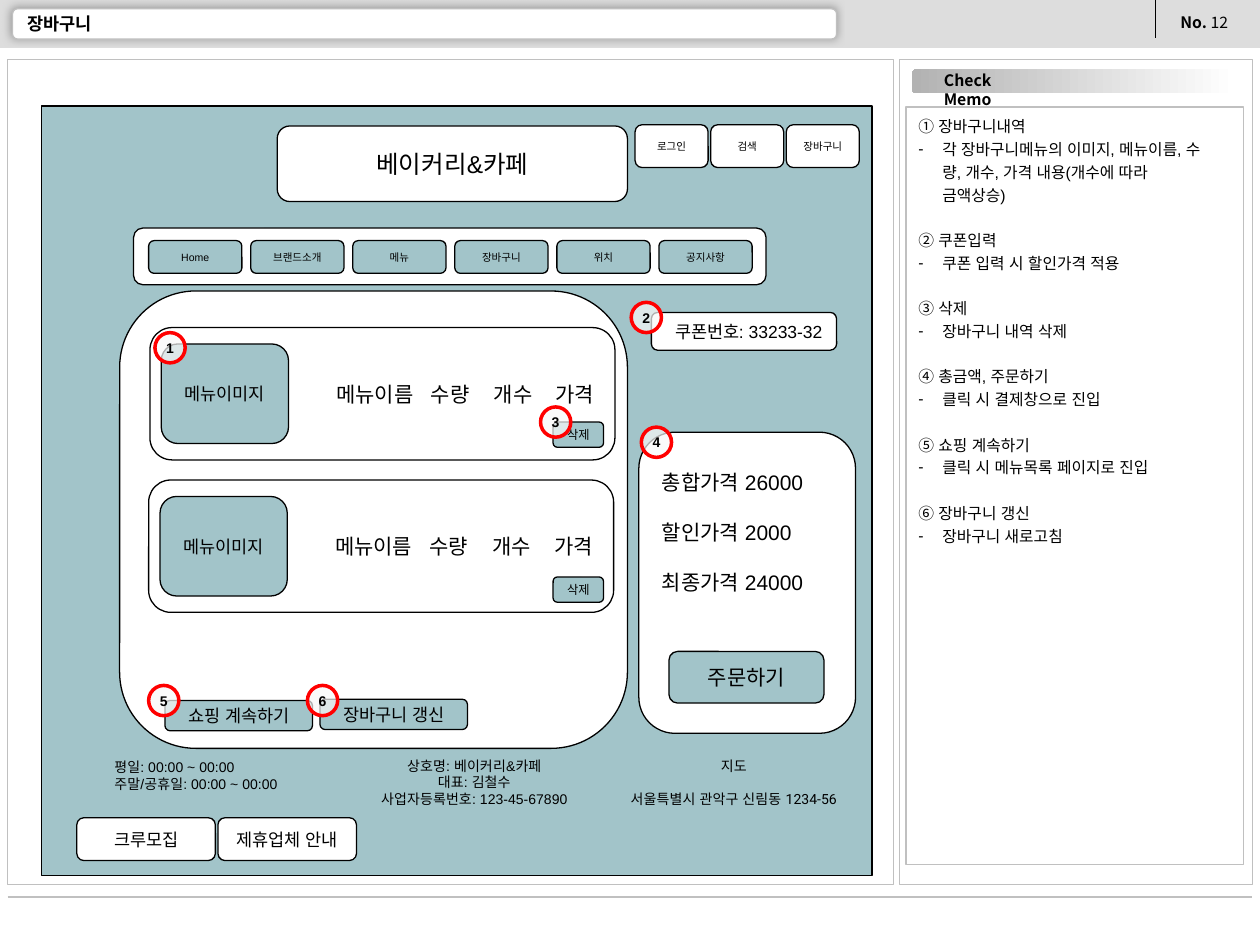
from typing import NamedTuple

from lxml.etree import SubElement
from pptx import Presentation
from pptx.dml.color import RGBColor
from pptx.enum.shapes import MSO_CONNECTOR, MSO_SHAPE
from pptx.enum.text import MSO_ANCHOR, PP_ALIGN
from pptx.oxml.ns import qn
from pptx.util import Inches, Pt

HUE = {"white": "FFFFFF", "black": "000000", "teal": "A2C4C9", "band": "DDDDDD",
       "rule": "C0C0C0", "gray": "B2B2B2", "shade": "989898", "red": "FF0000",
       "pale": "F8F8F8"}
ALIGN = {"l": PP_ALIGN.LEFT, "c": PP_ALIGN.CENTER, "r": PP_ALIGN.RIGHT}
ROUND, RECT, OVAL = MSO_SHAPE.ROUNDED_RECTANGLE, MSO_SHAPE.RECTANGLE, MSO_SHAPE.OVAL
NOTO = "Noto Sans CJK KR"


class Button(NamedTuple):
    text: str
    x: float
    y: float
    w: float
    h: float
    size: float
    fill: str = "teal"
    align: str = "c"


class Mark(NamedTuple):
    num: int
    x: float
    y: float


class Note(NamedTuple):
    head: str
    body: str


deck = Presentation()
deck.slide_width, deck.slide_height = Inches(10), Inches(7.5)
slide = deck.slides.add_slide(deck.slide_layouts[6])


def color(name: str) -> RGBColor:
    return RGBColor.from_string(HUE[name])


def add_run(para, text: str, size: float, font: str, bold: bool = False) -> None:
    run = para.add_run()
    run.text = text
    run.font.size, run.font.name, run.font.bold = Pt(size), font, bold
    run.font.color.rgb = color("black")
    SubElement(run._r.get_or_add_rPr(), qn("a:ea"), typeface=font)


def write(frame, text: str, size: float = 8, font: str = "Arial", bold: bool = False,
          align: str = "c", middle: bool = True, pad: tuple = (0.1, 0.1),
          gap: float = 0) -> None:
    """Fill a frame: \\n parts paragraphs, gap points apart; \\v breaks a line."""
    frame.word_wrap = True
    frame.vertical_anchor = MSO_ANCHOR.MIDDLE if middle else MSO_ANCHOR.TOP
    frame.margin_left = frame.margin_right = Inches(pad[0])
    frame.margin_top = frame.margin_bottom = Inches(pad[1])
    for i, line in enumerate(text.split("\n")):
        para = frame.add_paragraph() if i else frame.paragraphs[0]
        para.alignment = ALIGN[align]
        if i and gap:
            para.space_before = Pt(gap)
        for j, part in enumerate(line.split("\v")):
            if j:
                para.add_line_break()
            add_run(para, part, size, font, bold)


def shape(kind, x: float, y: float, w: float, h: float, fill: str = "white",
          line: str = "black", width: float = 0.75):
    item = slide.shapes.add_shape(kind, Inches(x), Inches(y), Inches(w), Inches(h))
    item.shadow.inherit = False
    item.fill.solid()
    item.fill.fore_color.rgb = color(fill)
    if line:
        item.line.color.rgb = color(line)
        item.line.width = Pt(width)
    else:
        item.line.fill.background()
    return item


def label(x: float, y: float, w: float, h: float, text: str, **style):
    box = slide.shapes.add_textbox(Inches(x), Inches(y), Inches(w), Inches(h))
    write(box.text_frame, text, **{"middle": False, "pad": (0.1, 0.05), **style})
    return box.text_frame


def rule(x: float, y: float, x2: float, y2: float, hue: str, width: float) -> None:
    line = slide.shapes.add_connector(MSO_CONNECTOR.STRAIGHT, Inches(x), Inches(y),
                                      Inches(x2), Inches(y2))
    line.line.color.rgb = color(hue)
    line.line.width = Pt(width)
    SubElement(line._element.spPr, qn("a:effectLst"))


def button(b: Button) -> None:
    item = shape(ROUND, b.x, b.y, b.w, b.h, b.fill)
    write(item.text_frame, b.text, size=b.size, align=b.align)


def item_row(x: float, y: float) -> None:
    """One cart row: the menu image and four columns of text."""
    shape(ROUND, x, y, 3.69, 1.05)
    for text, dx in (("메뉴이름", 1.48), ("수량", 2.23), ("개수", 2.73), ("가격", 3.22)):
        label(x + dx, y + 0.38, 0.7, 0.29, text, size=12, align="l", middle=True,
              pad=(0, 0))
    button(Button("메뉴이미지", x + 0.09, y + 0.13, 1.01, 0.79, 10))


def mark(m: Mark) -> None:
    ring = shape(OVAL, m.x, m.y, 0.24, 0.24, "pale", "red", 2)
    tint = ring._element.spPr.find(qn("a:solidFill"))[0]
    SubElement(tint, qn("a:alpha"), val="70000")
    write(ring.text_frame, str(m.num), bold=True, pad=(0.04, 0.05))


def memo(frame, notes: list) -> None:
    text = "\n".join(f"{n.head}\n{n.body}" for n in notes)
    write(frame, text, size=9, align="l", middle=False, pad=(0.1, 0.05))
    for i, para in enumerate(frame.paragraphs):
        para.line_spacing = 1.2
        if i % 2:
            props = para._p.get_or_add_pPr()
            props.set("marL", str(Inches(0.19)))
            props.set("indent", str(-Inches(0.19)))
            SubElement(props, qn("a:buFont"), typeface="Arial")
            SubElement(props, qn("a:buChar"), char="-")
        elif i:
            para.space_before = Pt(13)


# Header and frames
shape(RECT, 0, 0, 10, 0.38, "band", "")
rule(9.17, 0, 9.17, 0.3, "black", 0.75)
page = label(9.27, 0.05, 0.7, 0.25, "No. ", size=9, font=NOTO, bold=True, align="l")
add_run(page.paragraphs[0], "12", 9, NOTO)
bar = shape(ROUND, 0.1, 0.07, 6.54, 0.24, line="rule")
glow = SubElement(bar._element.spPr.find(qn("a:effectLst")), qn("a:outerShdw"),
                  blurRad=str(Pt(5)), dist=str(Pt(1.4)), dir="13500000")
SubElement(glow, qn("a:srgbClr"), val=HUE["shade"])
label(0.12, 0.1, 5.42, 0.18, "장바구니", size=10, bold=True, align="l", middle=True)
rule(0.06, 7.12, 9.94, 7.12, "rule", 1.5)
shape(RECT, 7.14, 0.47, 2.8, 6.55, line="rule")
shape(RECT, 0.06, 0.47, 7.03, 6.55, line="rule")

# Memo panel
strip = shape(ROUND, 7.24, 0.55, 2.57, 0.19, line="")
strip.fill.gradient()
strip.fill.gradient_angle = 180
for stop, hue in zip(strip.fill.gradient_stops, ("white", "gray")):
    stop.color.rgb = color(hue)
label(7.2, 0.51, 0.96, 0.25, "Check Memo", size=9, font=NOTO, bold=True)
memo(shape(RECT, 7.19, 0.85, 2.68, 6.01, line="rule").text_frame, [
    Note("① 장바구니내역", "각 장바구니메뉴의 이미지, 메뉴이름, 수\v"
         "량, 개수, 가격 내용(개수에 따라\v금액상승)"),
    Note("② 쿠폰입력", "쿠폰 입력 시 할인가격 적용"),
    Note("③ 삭제", "장바구니 내역 삭제"),
    Note("④ 총금액, 주문하기", "클릭 시 결제창으로 진입"),
    Note("⑤ 쇼핑 계속하기", "클릭 시 메뉴목록 페이지로 진입"),
    Note("⑥ 장바구니 갱신", "장바구니 새로고침")])

# Page ground, site name and top links
shape(RECT, 0.33, 0.84, 6.59, 6.11, "teal")
button(Button("베이커리&카페", 2.2, 1, 2.78, 0.6, 14, "white"))
for i, name in enumerate(("로그인", "검색", "장바구니")):
    button(Button(name, 5.04 + 0.6 * i, 0.99, 0.58, 0.34, 6, "white"))

# Menu bar
shape(ROUND, 1.06, 1.81, 5.02, 0.45)
for i, name in enumerate(("Home", "브랜드소개", "메뉴", "장바구니", "위치", "공지사항")):
    button(Button(name, 1.18 + 0.81 * i, 1.91, 0.74, 0.26, 6))

# Footer
for i, name in enumerate(("크루모집", "제휴업체 안내")):
    button(Button(name, 0.61 + 1.12 * i, 6.49, 1.1, 0.34, 10, "white"))
label(0.81, 5.97, 1.73, 0.37, "평일: 00:00 ~ 00:00\n주말/공휴일: 00:00 ~ 00:00", align="l")
label(2.8, 5.96, 1.93, 0.5, "상호명: 베이커리&카페\n대표: 김철수\n사업자등록번호: 123-45-67890")
place = label(4.86, 5.96, 1.93, 0.5, "지도\n서울특별시 관악구 신림동 1234-56", gap=9.6)
place.paragraphs[1].runs[0].font.name = "Roboto"

# Cart
shape(ROUND, 0.95, 2.31, 4.03, 3.63)
item_row(1.19, 2.6)
item_row(1.18, 3.81)

# Totals
total = shape(ROUND, 5.07, 3.43, 1.72, 2.39).text_frame
write(total, "총합가격 26000\n할인가격 2000\n최종가격 24000", size=12, align="l",
      middle=False, gap=14.4)
total.margin_top = Inches(0.21)

# Action buttons
for b in (Button("삭제", 4.39, 3.35, 0.4, 0.2, 7),
          Button("삭제", 4.39, 4.58, 0.4, 0.2, 7),
          Button("쿠폰번호: 33233-32", 5.17, 2.48, 1.47, 0.3, 10, "white", "r"),
          Button("주문하기", 5.31, 5.17, 1.23, 0.41, 12),
          Button("쇼핑 계속하기", 1.31, 5.56, 1.17, 0.24, 10),
          Button("장바구니 갱신", 2.54, 5.55, 1.17, 0.24, 10)):
    button(b)

# Numbered marks
for m in (Mark(1, 1.23, 2.64), Mark(2, 5.01, 2.4), Mark(3, 4.29, 3.23),
          Mark(4, 5.09, 3.39), Mark(5, 1.18, 5.44), Mark(6, 2.44, 5.44)):
    mark(m)

deck.save("out.pptx")
